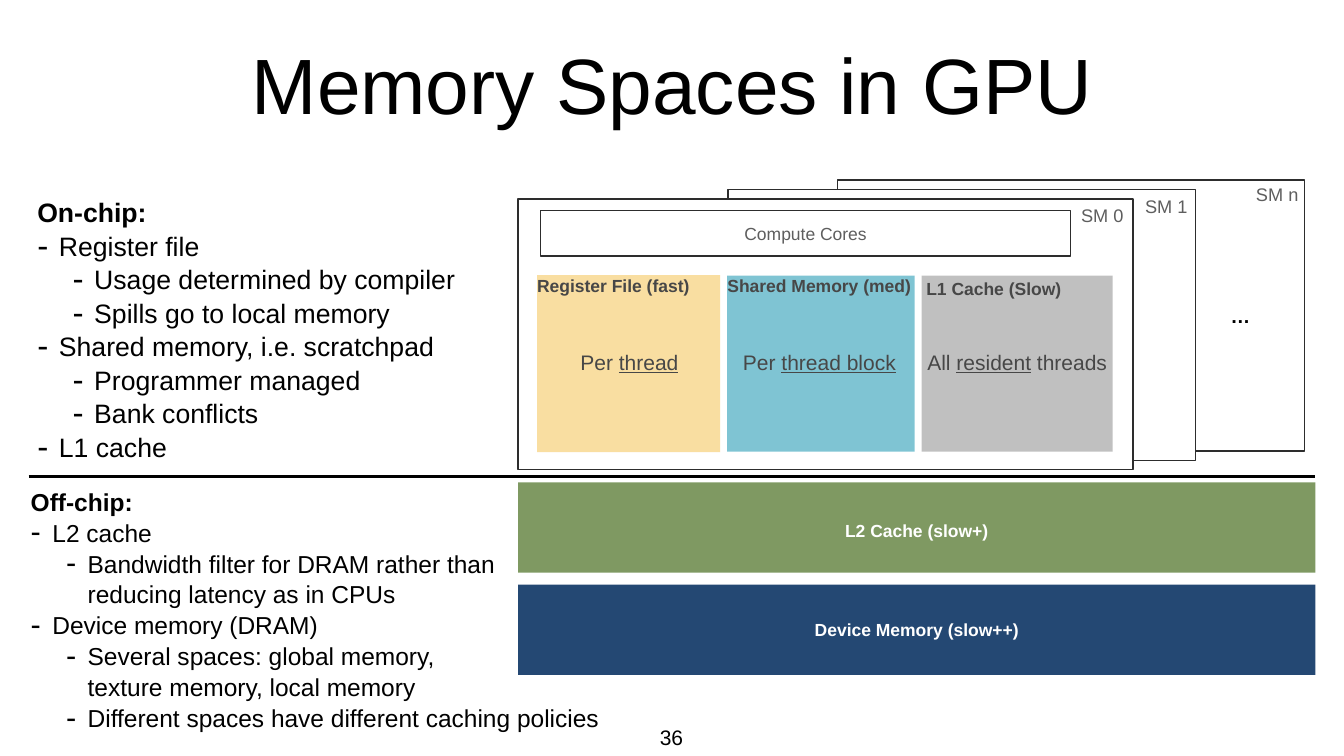
from lxml import etree
from pptx import Presentation
from pptx import util as u
from pptx.dml.color import RGBColor
from pptx.enum import shapes, text
from pptx.oxml.ns import qn

FONT = "Arial"
BLACK = RGBColor(0x00, 0x00, 0x00)
WHITE = RGBColor(0xFF, 0xFF, 0xFF)
OUTLINE = RGBColor(0x2D, 0x2D, 0x2D)
GREY = RGBColor(0x5E, 0x5E, 0x5E)
DARK = RGBColor(0x47, 0x47, 0x47)
YELLOW = RGBColor(0xF4, 0xBD, 0x41)
TEAL = RGBColor(0x01, 0x8B, 0xA9)
SILVER = RGBColor(0xA5, 0xA5, 0xA5)
GREEN = RGBColor(0x5D, 0x7E, 0x39)
NAVY = RGBColor(0x01, 0x2B, 0x5C)

CENTRE = text.PP_ALIGN.CENTER
MIDDLE = text.MSO_ANCHOR.MIDDLE
TOP = text.MSO_ANCHOR.TOP


class Diagram:
    """Holds the house style and the slide being drawn."""

    def __init__(self, slide):
        self.slide = slide

    def frame(self, shape, inset, anchor, wrap=True):
        frame = shape.text_frame
        frame.word_wrap = wrap
        frame.auto_size = text.MSO_AUTO_SIZE.NONE
        frame.vertical_anchor = anchor
        frame.margin_left = frame.margin_right = u.Inches(inset)
        frame.margin_top = frame.margin_bottom = u.Inches(inset)
        return frame

    def font(self, paragraph, size, color, bold=False):
        font = paragraph.font
        font.name, font.size, font.bold = FONT, u.Pt(size), bold
        font.color.rgb = color

    def caption(self, shape, words, size, color, bold=False, inset=0.04,
                anchor=MIDDLE, wrap=True):
        """Centred line of text; words between underscores are underlined."""
        paragraph = self.frame(shape, inset, anchor, wrap).paragraphs[0]
        paragraph.alignment = CENTRE
        self.font(paragraph, size, color, bold)
        for i, part in enumerate(words.split("_")):
            if part:
                run = paragraph.add_run()
                run.text = part
                if i % 2:
                    run.font.underline = True

    def place(self, shape, box):
        shape.left, shape.top, shape.width, shape.height = map(u.Inches, box)

    def title(self, words, box):
        self.place(self.slide.shapes.title, box)
        self.caption(self.slide.shapes.title, words, 112, BLACK, inset=0.06)

    def label(self, words, box, size, color, **style):
        self.caption(self.slide.shapes.add_textbox(*map(u.Inches, box)),
                     words, size, color, **style)

    def block(self, box, fill=None, opacity=100, outlined=False):
        block = self.slide.shapes.add_shape(
            shapes.MSO_SHAPE.RECTANGLE, *map(u.Inches, box))
        block.shadow.inherit = False
        if fill is None:
            block.fill.background()
        else:
            block.fill.solid()
            block.fill.fore_color.rgb = fill
            if opacity < 100:
                tint = block._element.spPr.find(qn("a:solidFill"))[0]
                etree.SubElement(tint, qn("a:alpha"), val=str(opacity * 1000))
        if outlined:
            block.line.color.rgb = OUTLINE
            block.line.width = u.Pt(2)
        else:
            block.line.fill.background()
        return block

    def rule(self, x1, x2, y):
        rule = self.slide.shapes.add_connector(
            shapes.MSO_CONNECTOR.STRAIGHT, *map(u.Inches, (x1, y, x2, y)))
        rule.line.color.rgb = BLACK
        rule.line.width = u.Pt(4)
        etree.SubElement(rule._element.spPr, qn("a:effectLst"))

    def outline(self, index, heading, items, box, size):
        """Bold heading, then (level, words) items with dash bullets."""
        body = self.slide.placeholders[index]
        self.place(body, box)
        frame = self.frame(body, 0.06, TOP)
        for i, (level, words) in enumerate([(None, heading)] + items):
            paragraph = frame.paragraphs[0] if i == 0 else frame.add_paragraph()
            paragraph.text = words
            paragraph.level = level or 0
            paragraph.space_before = u.Pt(0)
            paragraph.line_spacing = 1.05
            props = paragraph._p.get_or_add_pPr()
            if level is None:
                props.set("marL", "0")
                props.set("indent", "0")
                etree.SubElement(props, qn("a:buNone"))
            else:
                props.set("marL", str(u.Inches(0.43 + 0.7 * level)))
                props.set("indent", str(u.Inches(-0.43)))
                etree.SubElement(props, qn("a:buSzPct"), val="125000")
                etree.SubElement(props, qn("a:buFont"), typeface=FONT)
                etree.SubElement(props, qn("a:buChar"), char="-")
            self.font(paragraph, size, BLACK, bold=level is None)


def main():
    deck = Presentation()
    deck.slide_width, deck.slide_height = u.Inches(26.67), u.Inches(15)
    diagram = Diagram(deck.slides.add_slide(deck.slide_layouts[3]))

    # Title and page number
    diagram.title("Memory Spaces in GPU", (1.85, 0.39, 22.97, 2.5))
    diagram.label("36", (13.03, 14.31, 0.59, 0.6), 30, BLACK,
                  inset=0.06, anchor=TOP, wrap=False)

    # Stack of multiprocessors, back to front
    processors = [
        ("SM n", (16.62, 3.57, 9.27, 5.38), (24.87, 3.55, 0.95, 0.6)),
        ("SM 1", (14.45, 3.76, 9.27, 5.38), (22.67, 3.8, 0.95, 0.6)),
        ("SM 0", (10.28, 3.95, 12.2, 5.37), (21.25, 3.97, 1.25, 0.6)),
    ]
    for name, card, tag in processors:
        diagram.block(card, WHITE, outlined=True)
        diagram.label(name, tag, 26, GREY)
    diagram.label("…", (24.37, 5.95, 0.49, 0.63), 28, BLACK, bold=True)
    cores = diagram.block((10.73, 4.18, 10.51, 0.9), outlined=True)
    diagram.caption(cores, "Compute Cores", 25, GREY)

    # On-chip memories: name, area, colour, opacity, name box, scope, scope span
    memories = [
        ("Register File (fast)", (10.66, 5.46, 3.63, 3.51), YELLOW, 49,
         (10.33, 5.24, 3.68, 0.86), "Per _thread_", (11.44, 2.1)),
        ("Shared Memory (med)", (14.43, 5.47, 3.72, 3.49), TEAL, 50,
         (14.34, 5.18, 3.83, 0.96), "Per _thread block_", (14.62, 3.28)),
        ("L1 Cache (Slow)", (18.29, 5.47, 3.79, 3.49), SILVER, 69,
         (18.07, 5.4, 3.3, 0.63), "All _resident_ threads", (18.28, 3.81)),
    ]
    for name, area, color, opacity, name_box, scope, (left, width) in memories:
        diagram.block(area, color, opacity)
        diagram.label(name, name_box, 25, DARK, bold=True)
        diagram.label(scope, (left, 6.89, width, 0.59), 30, DARK, wrap=False)

    # Off-chip memories
    for name, top, label_top, color, opacity in [
        ("L2 Cache (slow+)", 9.57, 10.29, GREEN, 79),
        ("Device Memory (slow++)", 11.6, 12.25, NAVY, 86),
    ]:
        diagram.block((10.28, top, 15.82, 1.79), color, opacity)
        diagram.label(name, (15.92, label_top, 4.54, 0.49), 25, WHITE, bold=True)

    # Divider and lists
    diagram.rule(0.57, 26.1, 9.45)
    diagram.outline(1, "On-chip:", [
        (0, "Register file"),
        (1, "Usage determined by compiler"),
        (1, "Spills go to local memory"),
        (0, "Shared memory, i.e. scratchpad"),
        (1, "Programmer managed"),
        (1, "Bank conflicts"),
        (0, "L1 cache"),
    ], (0.68, 3.8, 8.69, 5.23), 38)
    diagram.outline(2, "Off-chip:", [
        (0, "L2 cache"),
        (1, "Bandwidth filter for DRAM rather than\vreducing latency as in CPUs"),
        (0, "Device memory (DRAM)"),
        (1, "Several spaces: global memory,\vtexture memory, local memory"),
        (1, "Different spaces have different caching policies"),
    ], (0.55, 9.57, 11.62, 4.82), 35)

    deck.save("out.pptx")


if __name__ == "__main__":
    main()
